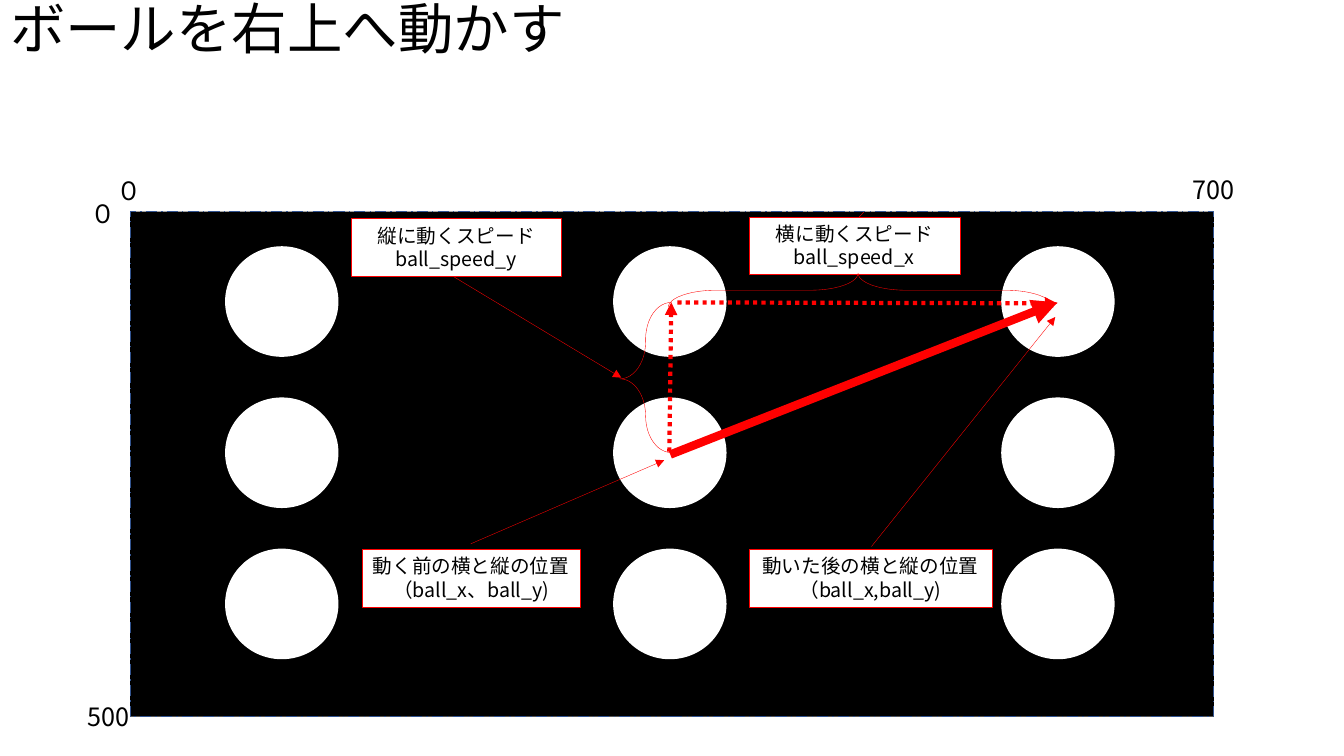
from itertools import product
from lxml import etree
from pptx import Presentation
from pptx.dml.color import RGBColor
from pptx.enum.dml import MSO_LINE
from pptx.enum.shapes import MSO_CONNECTOR, MSO_SHAPE
from pptx.enum.text import MSO_ANCHOR, PP_ALIGN
from pptx.oxml.ns import qn
from pptx.util import Pt

RECTANGLE, OVAL = MSO_SHAPE.RECTANGLE, MSO_SHAPE.OVAL
CALLOUT, BRACE = MSO_SHAPE.LINE_CALLOUT_1, MSO_SHAPE.RIGHT_BRACE
STRAIGHT = MSO_CONNECTOR.STRAIGHT
DOTTED, DASH_DOT = MSO_LINE.ROUND_DOT, MSO_LINE.LONG_DASH_DOT
LEFT, CENTER = PP_ALIGN.LEFT, PP_ALIGN.CENTER
MIDDLE, TOP = MSO_ANCHOR.MIDDLE, MSO_ANCHOR.TOP

FONT = "Noto Sans CJK JP"
COLORS = {"field": "000000", "ball": "FFFFFF", "text": "000000",
          "border": "325491", "motion": "FF0000", "note": "FFFFFF"}
BALL_WIDTH, BALL_HEIGHT = 80, 78
BALL_LEFT, BALL_TOP = 161.3, 176.4
COLUMN_STEP, ROW_STEP = 277.2, 108


def color(name):
    return RGBColor.from_string(COLORS[name])


def write(frame, text, size, align, anchor, wrap=False):
    frame.text = text
    frame.word_wrap = wrap
    frame.vertical_anchor = anchor
    for para in frame.paragraphs:
        para.alignment = align
        font = para.font
        font.size = Pt(size)
        font.color.rgb = color("text")
        font.name = FONT
        etree.SubElement(font._element, qn("a:ea"), typeface=FONT)


def style_line(line, name, width, dash=None, arrow=False):
    line.color.rgb = color(name)
    line.width = Pt(width)
    if dash:
        line.dash_style = dash
    if arrow:
        etree.SubElement(line._get_or_add_ln(), qn("a:tailEnd"), type="triangle")


def add_shape(page, kind, box, fill, line, width, dash=None, arrow=False,
              adjustments=(), flips=()):
    shape = page.shapes.add_shape(kind, *map(Pt, box))
    shape.shadow.inherit = False
    if fill:
        shape.fill.solid()
        shape.fill.fore_color.rgb = color(fill)
    else:
        shape.fill.background()
    style_line(shape.line, line, width, dash, arrow)
    for index, value in enumerate(adjustments):
        shape.adjustments[index] = value
    for flip in flips:
        shape._element.spPr.xfrm.set(flip, "1")
    return shape


def add_callout(page, text, box, adjustments, arrow=True, flips=(), wrap=False):
    callout = add_shape(page, CALLOUT, box, "note", "motion", 0.25, arrow=arrow,
                        adjustments=adjustments, flips=flips)
    write(callout.text_frame, text, 14, CENTER, TOP, wrap)


def add_brace(page, box, adjustments, flips=(), rotation=0):
    brace = add_shape(page, BRACE, box, None, "motion", 0.25,
                      adjustments=adjustments, flips=flips)
    brace.rotation = rotation


def add_arrow(page, start, end, width, dash=None):
    arrow = page.shapes.add_connector(STRAIGHT, *map(Pt, start + end))
    style_line(arrow.line, "motion", width, dash, arrow=True)
    etree.SubElement(arrow._element.spPr, qn("a:effectLst"))


def add_label(page, text, left, top, width):
    label = page.shapes.add_textbox(Pt(left), Pt(top), Pt(width), Pt(29))
    write(label.text_frame, text, 18, LEFT, TOP)


def add_title(page, text):
    title = page.shapes.title
    title.left, title.top, title.width, title.height = map(Pt, (0, 0, 828, 45.4))
    write(title.text_frame, text, 39.6, LEFT, MIDDLE, wrap=True)
    title.text_frame.paragraphs[0].line_spacing = 0.9


def main():
    deck = Presentation()
    deck.slide_width, deck.slide_height = Pt(960), Pt(540)
    page = deck.slides.add_slide(deck.slide_layouts[5])
    add_title(page, "ボールを右上へ動かす")

    add_shape(page, RECTANGLE, (93, 151.2, 774, 360.8), "field", "border", 1, DASH_DOT)
    for column, row in product(range(3), repeat=2):
        box = (BALL_LEFT + column * COLUMN_STEP, BALL_TOP + row * ROW_STEP,
               BALL_WIDTH, BALL_HEIGHT)
        add_shape(page, OVAL, box, "ball", "ball", 1)

    for text, left, top, width in (("\uff10", 76.3, 121.7, 32.4),
                                   ("\uff10", 57.6, 138.2, 32.4),
                                   ("500", 55.4, 497.5, 44.6),
                                   ("700", 844.6, 121, 44.6)):
        add_label(page, text, left, top, width)

    add_arrow(page, (478.1, 322.6), (479.5, 216), 3, DOTTED)
    add_callout(page, "縦に動くスピード\nball_speed_y", (250.6, 156.2, 150.5, 41),
                (1.003, 0.484, 2.772, 1.284), wrap=True)
    add_brace(page, (442.8, 216, 36.7, 107.3), (1.394, 0.491), ("flipH", "flipV"))
    add_callout(page, "動く前の横と縦の位置\v\uff08ball_x、ball_y)",
                (258.5, 392.4, 156.2, 41),
                (-0.096, 0.502, -1.553, -0.383), flips=("flipH",))
    add_callout(page, "動いた後の横と縦の位置\v\uff08ball_x,ball_y)",
                (535, 392.4, 173.5, 41),
                (-0.049, 0.496, -4.049, -0.261), flips=("flipH",))
    add_callout(page, "横に動くスピード\nball_speed_x", (535, 154.8, 150.5, 41),
                (0.013, 0.521, -0.08, 0.545), arrow=False, wrap=True)
    add_brace(page, (602.6, 69.8, 24.5, 275), (1.394, 0.493), rotation=270)
    add_arrow(page, (478.8, 324.7), (755.3, 216), 6)
    add_arrow(page, (483.8, 216), (755.3, 216.7), 3, DOTTED)

    deck.save("out.pptx")


main()
